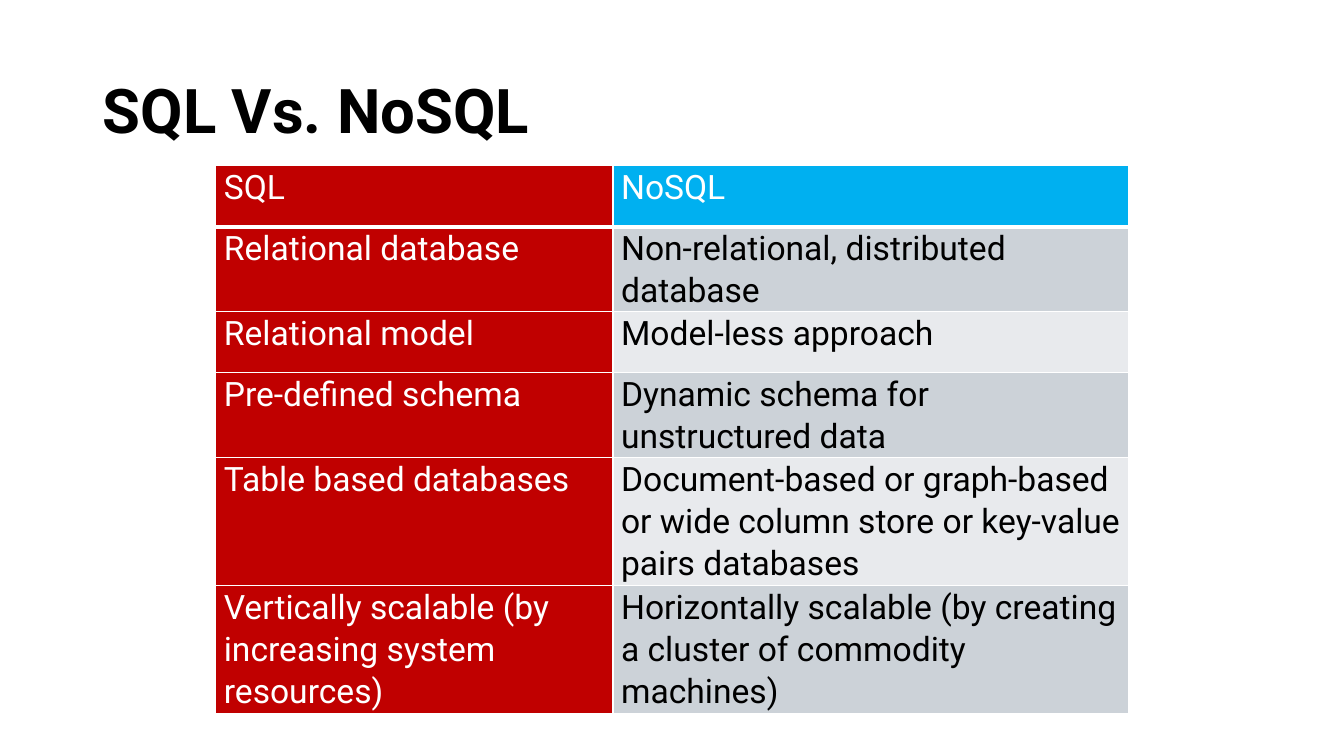
from lxml import etree
from pptx import Presentation
from pptx.dml.color import RGBColor
from pptx.enum.text import MSO_ANCHOR, PP_ALIGN
from pptx.oxml.ns import qn
from pptx.util import Inches, Pt

TITLE = "SQL Vs. NoSQL"
ROWS = [
    ("SQL", "NoSQL"),
    ("Relational database", "Non-relational, distributed database"),
    ("Relational model", "Model-less approach"),
    ("Pre-defined schema", "Dynamic schema for unstructured data"),
    ("Table based databases",
     "Document-based or graph-based or wide column store or key-value pairs databases"),
    ("Vertically scalable (by increasing system resources)",
     "Horizontally scalable (by creating a cluster of commodity machines)"),
]
WIDTHS = [3.94, 5.11]
HEIGHTS = [0.61, 0.61, 0.61, 0.84, 1.27, 1.27]
EDGES = {"a:lnL": 1, "a:lnR": 1, "a:lnT": 1, "a:lnB": 3}

BLACK = RGBColor(0x00, 0x00, 0x00)
WHITE = RGBColor(0xFF, 0xFF, 0xFF)
RED = RGBColor(0xC0, 0x00, 0x00)
BLUE = RGBColor(0x00, 0xB0, 0xF0)
BANDS = [RGBColor(0xE8, 0xEA, 0xED), RGBColor(0xCC, 0xD2, 0xD8)]
LEFT = PP_ALIGN.LEFT
TOP, MIDDLE = MSO_ANCHOR.TOP, MSO_ANCHOR.MIDDLE


def assign(item, values):
    """Set each named attribute on an item."""
    for name, value in values.items():
        setattr(item, name, value)


def write(frame, text, size, color, bold, spacing):
    """Put one styled paragraph in a text frame."""
    para = frame.paragraphs[0]
    assign(para, {"alignment": LEFT, "line_spacing": spacing})
    run = para.add_run()
    run.text = text
    assign(run.font, {"name": "Roboto", "size": Pt(size), "bold": bold})
    run.font.color.rgb = color


def border(cell):
    """Draw the white edges of a header cell."""
    props = cell._tc.get_or_add_tcPr()
    for tag, width in EDGES.items():
        line = etree.SubElement(props, qn(tag), w=str(Pt(width)))
        fill = etree.SubElement(line, qn("a:solidFill"))
        etree.SubElement(fill, qn("a:srgbClr"), val=str(WHITE))


def add_title(slide):
    """Place and write the slide title."""
    title = slide.shapes.title
    assign(title, {"left": Inches(0.92), "top": Inches(0.4),
                   "width": Inches(11.5), "height": Inches(1.45)})
    title.text_frame.vertical_anchor = MIDDLE
    write(title.text_frame, TITLE, 44, BLACK, True, 0.9)


def add_grid(slide):
    """Build the comparison table."""
    table = slide.shapes.add_table(
        len(ROWS), len(WIDTHS), Inches(2.14), Inches(1.64),
        Inches(sum(WIDTHS)), Inches(sum(HEIGHTS))).table
    for column, width in zip(table.columns, WIDTHS):
        column.width = Inches(width)
    for r, texts in enumerate(ROWS):
        table.rows[r].height = Inches(HEIGHTS[r])
        for c, text in enumerate(texts):
            cell = table.cell(r, c)
            assign(cell, {"margin_left": Inches(0.08), "margin_right": Inches(0.08),
                          "margin_top": 0, "margin_bottom": 0,
                          "vertical_anchor": TOP})
            if r == 0:
                border(cell)
            cell.fill.solid()
            cell.fill.fore_color.rgb = RED if c == 0 else BLUE if r == 0 else BANDS[r % 2]
            color = WHITE if r == 0 or c == 0 else BLACK
            write(cell.text_frame, text, 24, color, False, 1.07)


def main():
    """Build and save the slide."""
    deck = Presentation()
    assign(deck, {"slide_width": Inches(13.33), "slide_height": Inches(7.5)})
    slide = deck.slides.add_slide(deck.slide_layouts[5])
    add_title(slide)
    add_grid(slide)
    deck.save("out.pptx")


if __name__ == "__main__":
    main()
